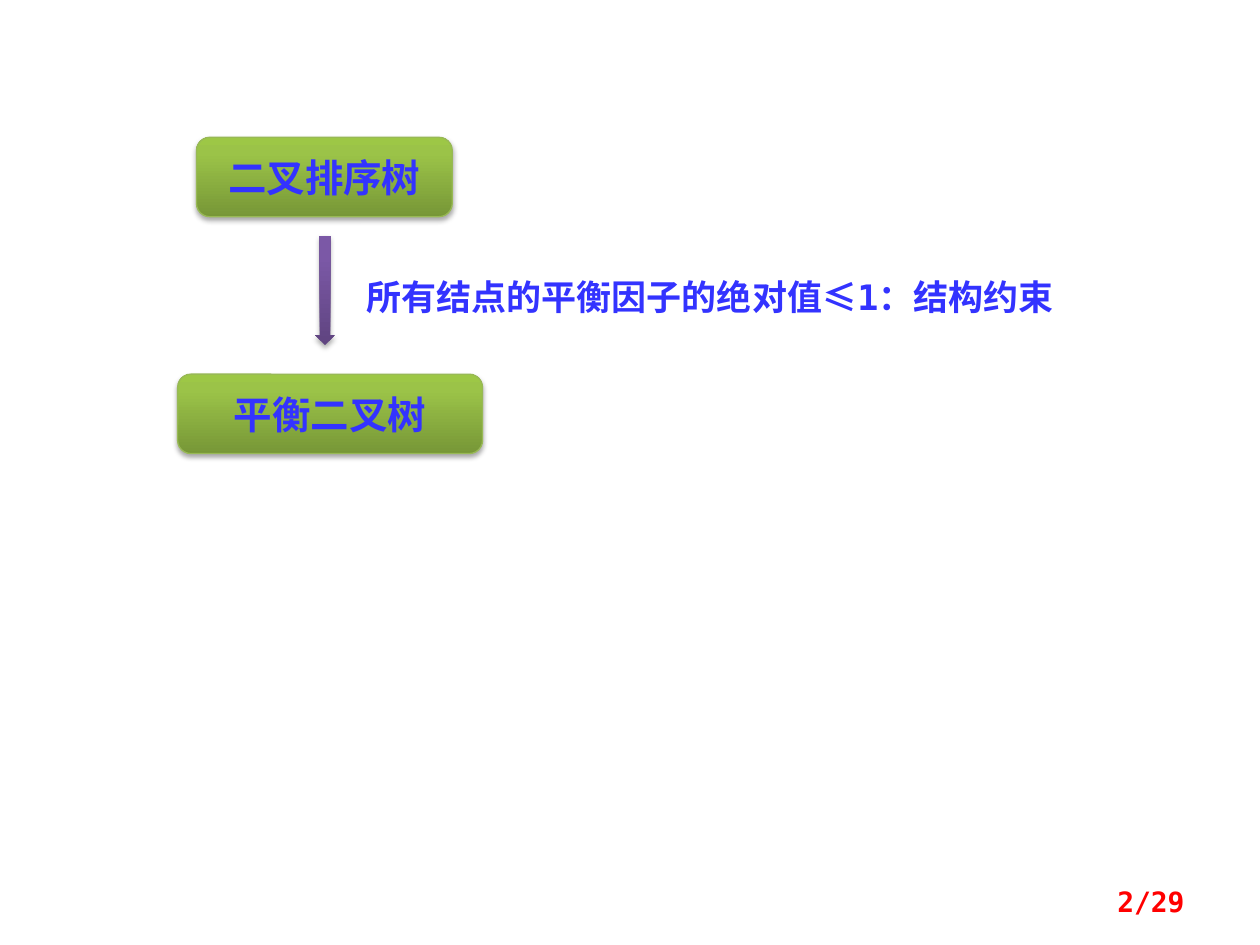
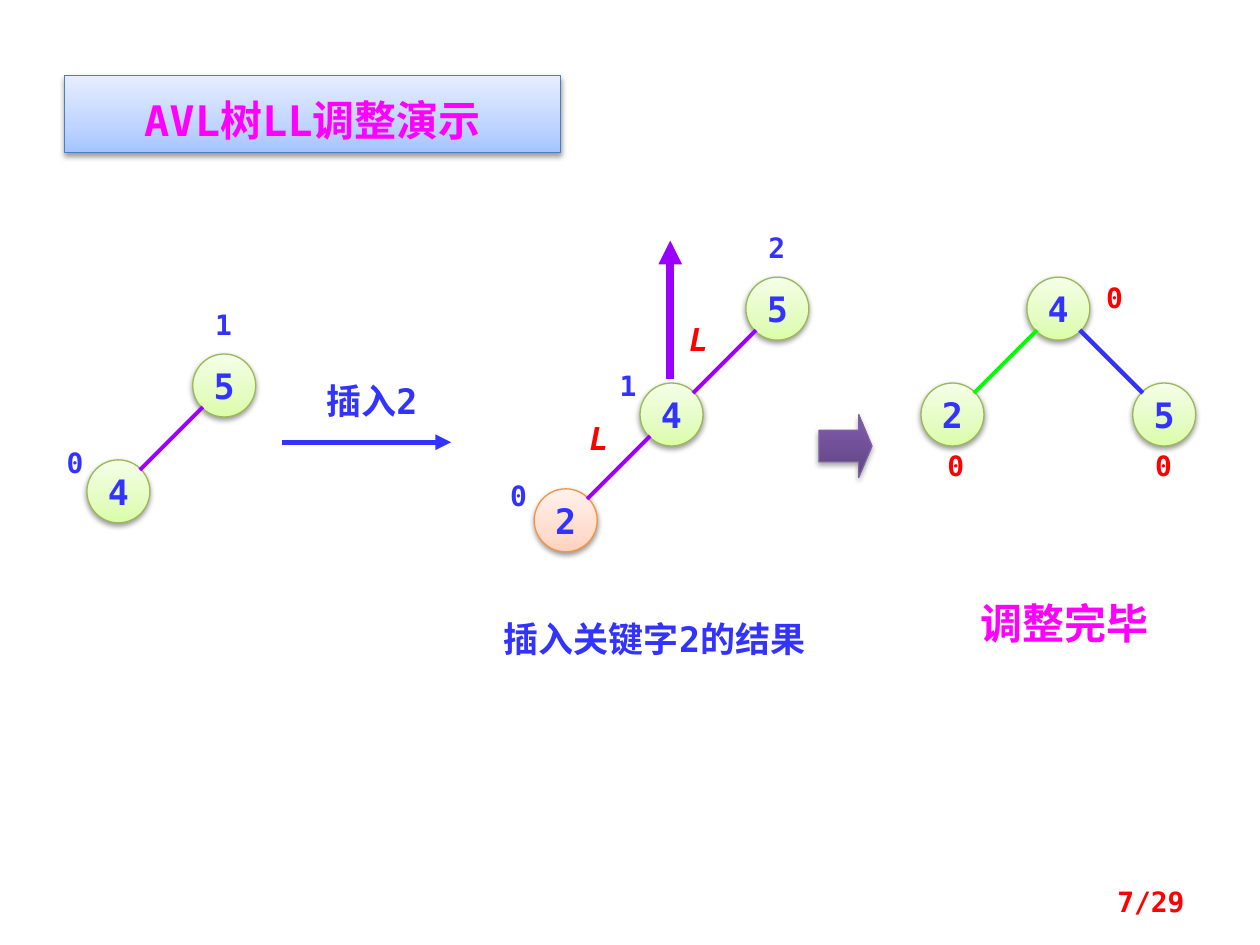
from lxml import etree
from pptx import Presentation
from pptx.dml.color import RGBColor
from pptx.enum.lang import MSO_LANGUAGE_ID as Language
from pptx.enum.shapes import MSO_CONNECTOR as Connector, MSO_SHAPE as Shape
from pptx.enum.text import MSO_ANCHOR as Anchor, PP_ALIGN as Align
from pptx.oxml.ns import qn
from pptx.util import Inches, Pt

BLUE = RGBColor(0x33, 0x33, 0xFF)
RED = RGBColor(0xFF, 0x00, 0x00)
MAGENTA = RGBColor(0xFF, 0x00, 0xFF)
VIOLET = RGBColor(0x99, 0x00, 0xFF)
GREEN = RGBColor(0x00, 0xFF, 0x00)
GREEN_EDGE = RGBColor(0x98, 0xB9, 0x55)
ORANGE_EDGE = RGBColor(0xF6, 0x92, 0x40)
BLUE_EDGE = RGBColor(0x4B, 0x7E, 0xBC)
PURPLE_EDGE = RGBColor(0x7D, 0x60, 0xA0)

BOX_STOPS = ((0, "779737"), (80, "9BC348"), (100, "9DC746"))
ARROW_STOPS = ((0, "5F4480"), (80, "7B58A6"), (100, "7C57A8"))
TITLE_STOPS = ((0, "A4C4FF"), (35, "BFD4FF"), (100, "E6EEFF"))
NODE_STOPS = ((0, "DAFDA7"), (35, "E4FCC2"), (100, "F5FFE7"))
NEW_NODE_STOPS = ((0, "FFD2BD"), (35, "FFDED0"), (100, "FFF2ED"))

MONO = "DejaVu Sans Mono"
NODE_SIZE = 0.5
TREE_STEP = 0.84


def write_text(shape, text, size=20, color=BLUE, font=MONO, align=Align.LEFT,
               anchor=Anchor.TOP, italic=False, spacing=1.0, wrap=True):
    frame = shape.text_frame
    frame.word_wrap = wrap
    frame.vertical_anchor = anchor
    paragraph = frame.paragraphs[0]
    paragraph.alignment = align
    paragraph.line_spacing = spacing
    run = paragraph.add_run()
    run.text = text
    run.font.name = font
    run.font.size = Pt(size)
    run.font.bold = True
    run.font.italic = italic
    run.font.color.rgb = color
    run.font.language_id = Language.SIMPLIFIED_CHINESE


def add_glossy_shape(slide, kind, box, stops, edge=None, opacity=35, distance=1.8):
    shape = slide.shapes.add_shape(kind, *map(Inches, box))
    shape.fill.gradient()
    shape.fill.gradient_angle = 90
    properties = shape._element.spPr
    stop_list = properties.find(".//" + qn("a:gsLst"))
    for stop in list(stop_list):
        stop_list.remove(stop)
    for position, color in stops:
        stop = etree.SubElement(stop_list, qn("a:gs"), pos=str(position * 1000))
        etree.SubElement(stop, qn("a:srgbClr"), val=color)
    if edge is None:
        shape.line.fill.background()
    else:
        shape.line.color.rgb = edge
        shape.line.width = Pt(0.75)
    shape.shadow.inherit = False
    shadow = etree.SubElement(
        properties.find(qn("a:effectLst")), qn("a:outerShdw"),
        blurRad=str(Pt(3.1)), dist=str(Pt(distance)), dir="5400000", rotWithShape="0")
    shadow_color = etree.SubElement(shadow, qn("a:srgbClr"), val="000000")
    etree.SubElement(shadow_color, qn("a:alpha"), val=str(opacity * 1000))
    return shape


presentation = Presentation()
presentation.slide_width = Inches(10)
presentation.slide_height = Inches(7.5)
blank = presentation.slide_layouts[6]
definition = presentation.slides.add_slide(blank)
rotation = presentation.slides.add_slide(blank)

for box, text in [((1.56, 1.09, 2.03, 0.63), "二叉排序树"),
                  ((1.41, 2.97, 2.42, 0.63), "平衡二叉树")]:
    tree_type = add_glossy_shape(definition, Shape.ROUNDED_RECTANGLE, box, BOX_STOPS, GREEN_EDGE)
    write_text(tree_type, text, size=22, font="Calibri", align=Align.CENTER, anchor=Anchor.MIDDLE)
add_glossy_shape(definition, Shape.DOWN_ARROW, (2.5, 1.87, 0.16, 0.87), ARROW_STOPS)
constraint = definition.shapes.add_textbox(*map(Inches, (2.81, 2.14, 6.09, 0.44)))
write_text(constraint, "所有结点的平衡因子的绝对值≤1：结构约束")

title = add_glossy_shape(rotation, Shape.RECTANGLE, (0.51, 0.6, 3.94, 0.61),
                         TITLE_STOPS, BLUE_EDGE, opacity=38, distance=1.6)
write_text(title, "AVL树LL调整演示", size=24, color=MAGENTA, align=Align.CENTER, spacing=1.25)
result_arrow = add_glossy_shape(rotation, Shape.RIGHT_ARROW, (6.5, 3.29, 0.42, 0.5),
                                ARROW_STOPS, PURPLE_EDGE)
result_arrow.adjustments[1] = 0.25

green_node = (NODE_STOPS, GREEN_EDGE)
new_node = (NEW_NODE_STOPS, ORANGE_EDGE)
trees = [
    (1.53, 2.81, [("5", 0, 0, green_node), ("4", -1, 1, green_node)],
     [(0, 1, VIOLET, 2.25)]),
    (5.92, 2.2, [("5", 0, 0, green_node), ("4", -1, 1, green_node), ("2", -2, 2, new_node)],
     [(0, 1, VIOLET, 2.25), (1, 2, VIOLET, 2.25)]),
    (8.15, 2.2, [("4", 0, 0, green_node), ("2", -1, 1, green_node), ("5", 1, 1, green_node)],
     [(0, 1, GREEN, 2.25), (0, 2, BLUE, 2.5)]),
]
lines = [((2.24, 3.51), (3.58, 3.51), BLUE, 3, True),
         ((5.32, 3.01), (5.32, 1.91), VIOLET, 4.5, True)]
for root_left, root_top, nodes, edges in trees:
    corners = []
    for key, column, row, (stops, edge_color) in nodes:
        left, top = root_left + column * TREE_STEP, root_top + row * TREE_STEP
        corners.append((left, top))
        node = add_glossy_shape(rotation, Shape.OVAL, (left, top, NODE_SIZE, NODE_SIZE),
                                stops, edge_color, opacity=38, distance=1.6)
        write_text(node, key, align=Align.CENTER, anchor=Anchor.MIDDLE, wrap=False)
    for parent, child, color, width in edges:
        (parent_left, parent_top), (child_left, child_top) = corners[parent], corners[child]
        parent_x, child_x = (0.08, 0.42) if child_left < parent_left else (0.42, 0.08)
        lines.append(((parent_left + parent_x, parent_top + 0.42),
                      (child_left + child_x, child_top + 0.08), color, width, False))

for start, end, color, width, has_arrowhead in lines:
    connector = rotation.shapes.add_connector(Connector.STRAIGHT, *map(Inches, start + end))
    connector.line.color.rgb = color
    connector.line.width = Pt(width)
    if has_arrowhead:
        etree.SubElement(connector.line._get_or_add_ln(), qn("a:tailEnd"), type="triangle")
    etree.SubElement(connector._element.spPr, qn("a:effectLst"))

balance_factors = [
    ("0", 0.43, 3.49, BLUE), ("1", 1.61, 2.39, BLUE),
    ("0", 3.95, 3.75, BLUE), ("1", 4.82, 2.88, BLUE), ("2", 6, 1.78, BLUE),
    ("0", 7.42, 3.51, RED), ("0", 9.07, 3.51, RED), ("0", 8.68, 2.18, RED),
]
for factor, left, top, color in balance_factors:
    label = rotation.shapes.add_textbox(*map(Inches, (left, top, 0.31, 0.37)))
    write_text(label, factor, size=16, color=color)
for left, top in [(5.37, 2.49), (4.58, 3.28)]:
    label = rotation.shapes.add_textbox(*map(Inches, (left, top, 0.31, 0.4)))
    write_text(label, "L", size=18, color=RED, italic=True)

captions = [
    ("插入2", (2.49, 2.96, 1.1, 0.43), {}),
    ("插入关键字2的结果", (3.9, 4.85, 2.76, 0.43), {}),
    ("调整完毕", (7.5, 4.69, 1.89, 0.5), dict(size=24, color=MAGENTA, align=Align.CENTER)),
]
for text, box, text_format in captions:
    caption = rotation.shapes.add_textbox(*map(Inches, box))
    write_text(caption, text, **text_format)

for slide, page in [(definition, "2/29"), (rotation, "7/29")]:
    footer = slide.shapes.add_textbox(*map(Inches, (7.17, 6.95, 2.33, 0.4)))
    write_text(footer, page, size=16, color=RED, align=Align.RIGHT, anchor=Anchor.MIDDLE)

presentation.save("out.pptx")
